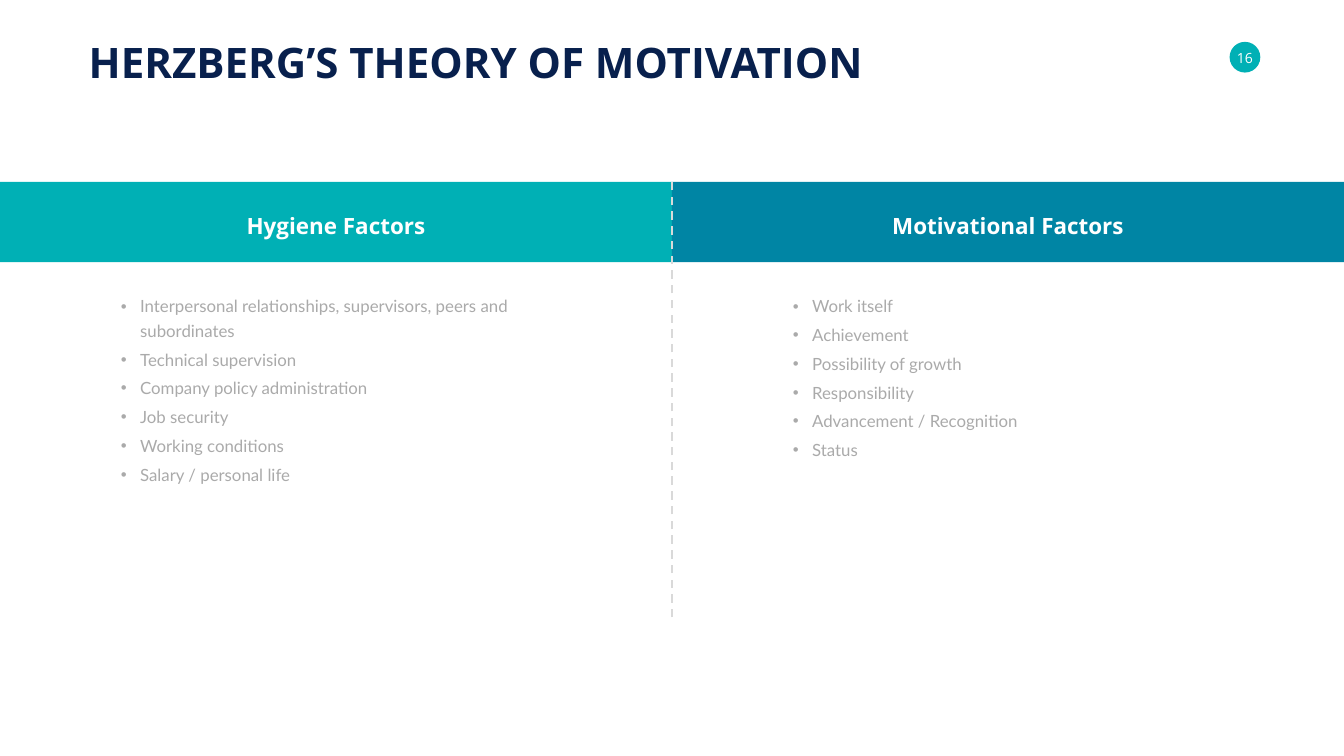
"""Build the slide on Herzberg's theory of motivation."""
import dataclasses

import pptx
import pptx.dml.color
import pptx.enum.dml
import pptx.enum.shapes
import pptx.enum.text
import pptx.oxml.ns
import pptx.util
from lxml import etree

Inches = pptx.util.Inches
Pt = pptx.util.Pt
Align = pptx.enum.text.PP_ALIGN
Anchor = pptx.enum.text.MSO_ANCHOR
Shape = pptx.enum.shapes.MSO_SHAPE
COMPARISON_LAYOUT = 4


@dataclasses.dataclass(frozen=True)
class Theme:
    """Colours, fonts and type sizes of the slide."""
    navy: str = "08204D"
    teal: str = "00B0B5"
    blue: str = "0085A4"
    white: str = "FFFFFF"
    grey: str = "AAAAAA"
    rule: str = "D9D9D9"
    heading_font: str = "Open Sans"
    body_font: str = "Lato"
    title_size: int = 60
    heading_size: int = 32
    body_size: int = 24
    number_size: int = 20


THEME = Theme()
WIDTH, HEIGHT = 26.66, 15
HALF = WIDTH / 2
BAND_TOP, BAND_HEIGHT = 3.61, 1.59
HYGIENE = [
    "Interpersonal relationships, supervisors, peers and subordinates",
    "Technical supervision",
    "Company policy administration",
    "Job security",
    "Working conditions",
    "Salary / personal life",
]
MOTIVATION = [
    "Work itself",
    "Achievement",
    "Possibility of growth",
    "Responsibility",
    "Advancement / Recognition",
    "Status",
]


def rgb(value):
    """Return the colour for a hex string."""
    return pptx.dml.color.RGBColor.from_string(value)


def place(s, left, top, width, height):
    """Move and size a shape and bring it to the front."""
    s.left, s.top, s.width, s.height = map(Inches, (left, top, width, height))
    tree = s.element.getparent()
    tree.append(s.element)


def set_bullet(p, indent=0.38):
    """Give a paragraph a hanging round bullet."""
    pPr = p._p.get_or_add_pPr()
    pPr.set("marL", str(Inches(indent)))
    pPr.set("indent", str(-Inches(indent)))
    bu = etree.SubElement(pPr, pptx.oxml.ns.qn("a:buChar"))
    bu.set("char", "•")


def write(s, lines, *, size, color, font=THEME.heading_font, bold=False,
          align=Align.LEFT, anchor=Anchor.TOP, wrap=False, leading=None,
          gap=0, bullet=False, inset=None):
    """Fill a shape with one formatted paragraph per line."""
    tf = s.text_frame
    tf.auto_size = pptx.enum.text.MSO_AUTO_SIZE.NONE
    tf.word_wrap = wrap
    tf.vertical_anchor = anchor
    if inset is not None:
        tf.margin_left = tf.margin_right = Inches(inset)
        tf.margin_top = tf.margin_bottom = Inches(inset)
    for i, line in enumerate(lines):
        p = tf.add_paragraph() if i else tf.paragraphs[0]
        if bullet:
            set_bullet(p)
        p.alignment = align
        p.space_before = Pt(gap if i else 0)
        if leading:
            p.line_spacing = Pt(leading)
        r = p.add_run()
        r.text = line
        r.font.name = font
        r.font.size = Pt(size)
        r.font.bold = bold
        r.font.color.rgb = rgb(color)


def add_block(slide, kind, left, top, width, height, color):
    """Add a flat filled shape without an outline."""
    s = slide.shapes.add_shape(
        kind, *map(Inches, (left, top, width, height)))
    s.shadow.inherit = False
    s.fill.solid()
    s.fill.fore_color.rgb = rgb(color)
    s.line.fill.background()


def add_page_number(slide, number):
    """Add the page number on its round badge."""
    add_block(slide, Shape.OVAL, 24.39, 0.83, 0.61, 0.61, THEME.teal)
    s = slide.shapes.add_textbox(
        *map(Inches, (24.52, 0.97, 0.35, 0.34)))
    write(s, [number], size=THEME.number_size, color=THEME.white,
          align=Align.CENTER, anchor=Anchor.MIDDLE, inset=0)


def add_title(slide, text):
    """Fill the title placeholder."""
    s = slide.shapes.title
    place(s, 1.66, 0.67, 15.71, 1.11)
    write(s, [text], size=THEME.title_size, color=THEME.navy, bold=True)


def add_divider(slide):
    """Add the dashed line between the two halves."""
    s = slide.shapes.add_connector(
        pptx.enum.shapes.MSO_CONNECTOR.STRAIGHT,
        *map(Inches, (HALF, 12.25, HALF, BAND_TOP)))
    s.line.color.rgb = rgb(THEME.rule)
    s.line.width = Pt(3)
    s.line.dash_style = pptx.enum.dml.MSO_LINE.DASH
    etree.SubElement(s.element.spPr, pptx.oxml.ns.qn("a:effectLst"))


def add_heading(s, column, text, width):
    """Centre a heading placeholder on the band of its column."""
    center = HALF * (column + 0.5)
    place(s, center - width / 2, 4.03, width, 0.74)
    write(s, [text], size=THEME.heading_size, color=THEME.white, bold=True,
          align=Align.CENTER, anchor=Anchor.MIDDLE, leading=50)


def add_list(s, column, items, height):
    """Fill a body placeholder with the bullets of its column."""
    place(s, HALF * column + 2.3, 5.74, 8.73, height)
    write(s, items, size=THEME.body_size, color=THEME.grey,
          font=THEME.body_font, wrap=True, leading=35, gap=6, bullet=True)


def main():
    """Build and save the slide."""
    prs = pptx.Presentation()
    prs.slide_width, prs.slide_height = Inches(WIDTH), Inches(HEIGHT)
    slide = prs.slides.add_slide(prs.slide_layouts[COMPARISON_LAYOUT])
    left_head, left_body, right_head, right_body = list(slide.placeholders)[1:]

    add_page_number(slide, "16")
    for column, color in enumerate((THEME.teal, THEME.blue)):
        add_block(slide, Shape.RECTANGLE, HALF * column, BAND_TOP,
                  HALF, BAND_HEIGHT, color)
    add_title(slide, "HERZBERG’S THEORY OF MOTIVATION")
    add_divider(slide)
    add_heading(left_head, 0, "Hygiene Factors", 3.78)
    add_heading(right_head, 1, "Motivational Factors", 4.84)
    add_list(left_body, 0, HYGIENE, 3.89)
    add_list(right_body, 1, MOTIVATION, 3.4)
    prs.save("out.pptx")


if __name__ == "__main__":
    main()
